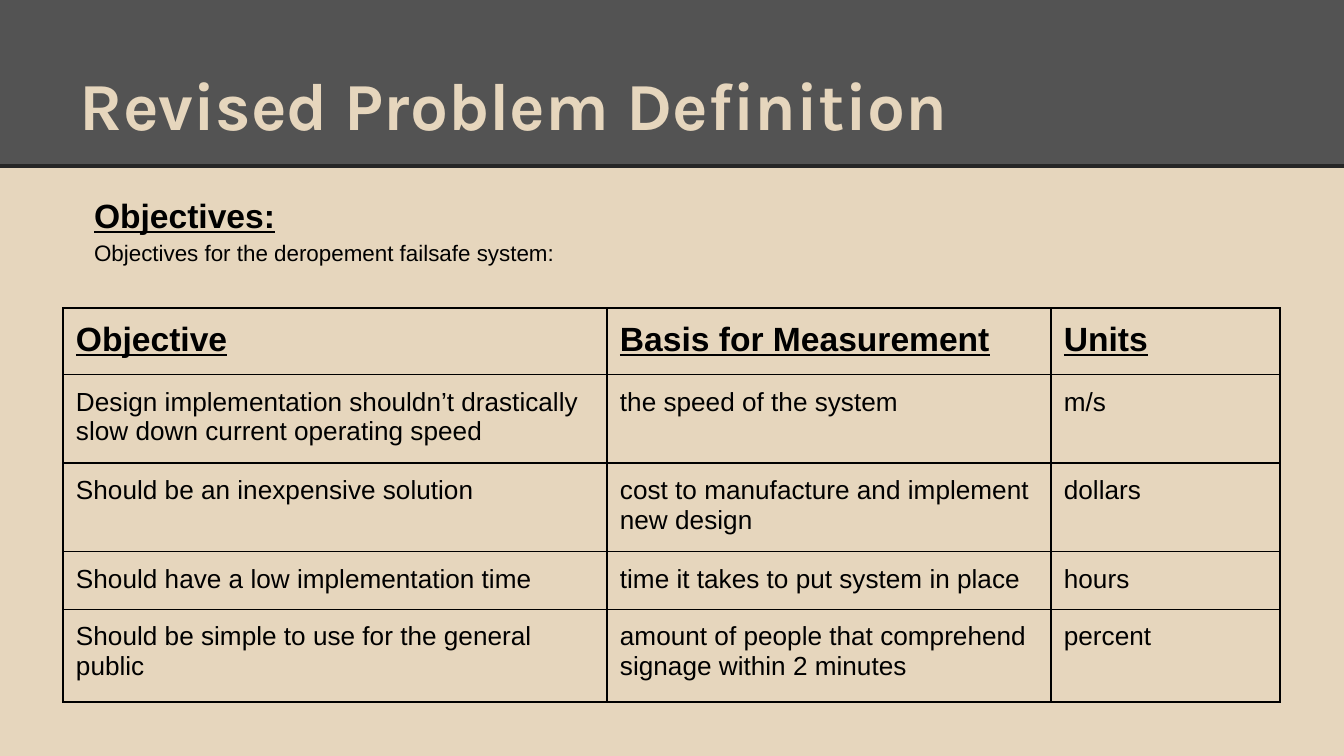
from lxml.etree import SubElement
from pptx import Presentation
from pptx.dml.color import RGBColor
from pptx.enum.shapes import MSO_CONNECTOR, MSO_SHAPE
from pptx.enum.text import MSO_ANCHOR
from pptx.oxml.ns import qn
from pptx.util import Emu, Pt

SAND, GREY, DARK, BLACK = "E6D6BD", "535353", "262626", "000000"
WIDTH, HEIGHT, HEADER_HEIGHT = 1344, 756, 166
INSET = 13

TITLE = "Revised Problem Definition"
HEADING = "Objectives:"
INTRODUCTION = "Objectives for the deropement failsafe system:"
ROWS = [
    ("Objective", "Basis for Measurement", "Units"),
    ("Design implementation shouldn’t drastically slow down current operating speed",
     "the speed of the system", "m/s"),
    ("Should be an inexpensive solution",
     "cost to manufacture and implement new design", "dollars"),
    ("Should have a low implementation time",
     "time it takes to put system in place", "hours"),
    ("Should be simple to use for the general public",
     "amount of people that comprehend signage within 2 minutes", "percent"),
]
TABLE_LEFT, TABLE_TOP = 63, 308
COLUMN_WIDTHS = [544, 444, 229]
ROW_HEIGHTS = [65, 88, 86, 57, 93]


def px(pixels):
    """Turn picture pixels into EMU."""
    return Emu(round(pixels * 914400 / 134.4))


def color(value):
    """Turn a hex string into a colour."""
    return RGBColor.from_string(value)


def set_insets(target):
    """Give a text frame or cell equal margins."""
    for side in ("left", "top", "right", "bottom"):
        setattr(target, f"margin_{side}", px(INSET))


def write(paragraph, text, size, strong=False, name="Arial", ink=BLACK):
    """Put styled text in a paragraph; strong means bold and underlined."""
    paragraph.text = text
    font = paragraph.font
    font.name, font.size = name, Pt(size)
    font.bold = font.underline = strong
    font.color.rgb = color(ink)


def add_text_frame(slide, left, top, width, height):
    """Add a wrapping text box and return its frame."""
    frame = slide.shapes.add_textbox(*map(px, (left, top, width, height))).text_frame
    frame.word_wrap = True
    set_insets(frame)
    return frame


def add_header(slide):
    """Draw the title band, its lower rule and the title."""
    band = slide.shapes.add_shape(MSO_SHAPE.RECTANGLE, 0, 0, px(WIDTH), px(HEADER_HEIGHT))
    band.shadow.inherit = False
    band.fill.solid()
    band.fill.fore_color.rgb = color(GREY)
    band.line.fill.background()
    rule = slide.shapes.add_connector(
        MSO_CONNECTOR.STRAIGHT, 0, px(HEADER_HEIGHT), px(WIDTH), px(HEADER_HEIGHT))
    rule.line.color.rgb = color(DARK)
    rule.line.width = Pt(2.25)
    SubElement(rule._element.spPr, qn("a:effectLst"))
    frame = add_text_frame(slide, 67, 31, 1210, 126)
    frame.vertical_anchor = MSO_ANCHOR.BOTTOM
    title = frame.paragraphs[0]
    write(title, TITLE, 36, name="Karla", ink=SAND)
    title.font.bold = True


def add_introduction(slide):
    """Write the heading and the line below it."""
    frame = add_text_frame(slide, 81, 176, 1183, 173)
    write(frame.paragraphs[0], HEADING, 18, strong=True)
    write(frame.add_paragraph(), INTRODUCTION, 12)
    for paragraph in frame.paragraphs:
        paragraph.line_spacing = 1.15


def add_borders(cell):
    """Outline a cell with thin black lines."""
    properties = cell._tc.get_or_add_tcPr()
    for position, side in enumerate(("lnL", "lnR", "lnT", "lnB")):
        line = properties.makeelement(qn(f"a:{side}"), {"w": str(Pt(0.75))})
        properties.insert(position, line)
        fill = SubElement(line, qn("a:solidFill"))
        SubElement(fill, qn("a:srgbClr"), val=BLACK)


def add_objectives_table(slide):
    """Build the table of objectives, measures and units."""
    table = slide.shapes.add_table(
        len(ROWS), len(COLUMN_WIDTHS), px(TABLE_LEFT), px(TABLE_TOP),
        px(sum(COLUMN_WIDTHS)), px(sum(ROW_HEIGHTS))).table
    table.horz_banding = False
    for column, width in zip(table.columns, COLUMN_WIDTHS):
        column.width = px(width)
    for index, (texts, height) in enumerate(zip(ROWS, ROW_HEIGHTS)):
        table.rows[index].height = px(height)
        is_header = index == 0
        for cell, text in zip(table.rows[index].cells, texts):
            set_insets(cell)
            cell.fill.background()
            add_borders(cell)
            write(cell.text_frame.paragraphs[0], text, 18 if is_header else 14, is_header)


def main():
    """Build and save the slide."""
    presentation = Presentation()
    presentation.slide_width, presentation.slide_height = px(WIDTH), px(HEIGHT)
    slide = presentation.slides.add_slide(presentation.slide_layouts[6])
    slide.background.fill.solid()
    slide.background.fill.fore_color.rgb = color(SAND)
    add_header(slide)
    add_introduction(slide)
    add_objectives_table(slide)
    presentation.save("out.pptx")


main()
